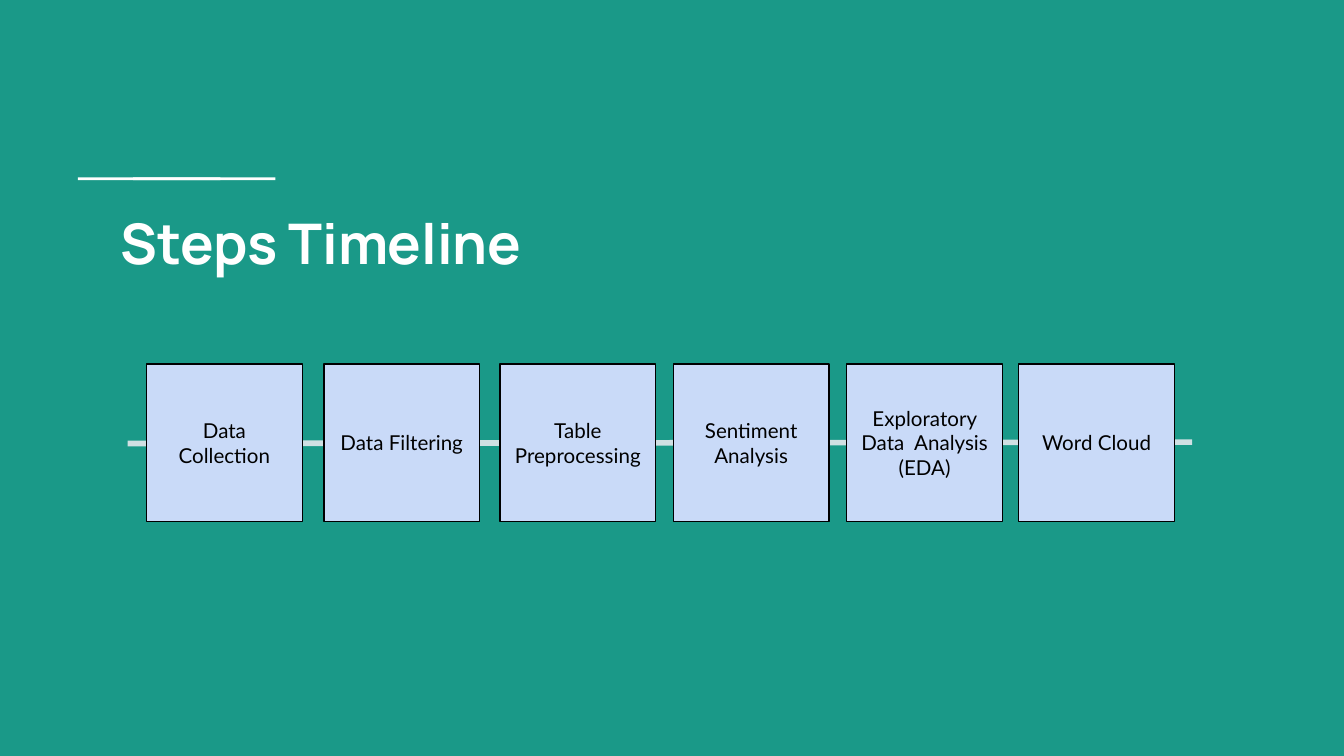
from lxml import etree
from pptx import Presentation
from pptx import util as u
from pptx.dml.color import RGBColor
from pptx.enum import shapes, text
from pptx.oxml import ns

TEAL = RGBColor(0x1A, 0x99, 0x88)
WHITE = RGBColor(0xFF, 0xFF, 0xFF)
BLACK = RGBColor(0, 0, 0)
PALE_BLUE = RGBColor(0xC9, 0xDA, 0xF8)
PALE_GREY = RGBColor(0xD0, 0xE0, 0xE3)

TITLE_FONT = {"name": "Manrope", "size": u.Pt(30), "bold": True}
STEP_FONT = {"name": "Lato", "size": u.Pt(11), "bold": False}
STEPS = [
    (1.09, "Data Collection"),
    (2.41, "Data Filtering"),
    (3.72, "Table Preprocessing"),
    (5.01, "Sentiment Analysis"),
    (6.3, "Exploratory Data  Analysis (EDA)"),
    (7.58, "Word Cloud"),
]


def write_text(box, words, font, color, align, anchor):
    """Fill a shape with one formatted paragraph."""
    frame = box.text_frame
    layout = {"word_wrap": True, "auto_size": text.MSO_AUTO_SIZE.NONE, "vertical_anchor": anchor}
    for side in ("left", "right", "top", "bottom"):
        layout[f"margin_{side}"] = u.Inches(0.1)
    for name, value in layout.items():
        setattr(frame, name, value)
    paragraph = frame.paragraphs[0]
    paragraph.alignment = align
    span = paragraph.add_run()
    span.text = words
    for name, value in font.items():
        setattr(span.font, name, value)
    span.font.color.rgb = color


def add_rectangle(page, left, top, width, height, fill):
    """Add a flat rectangle without an outline."""
    box = page.shapes.add_shape(
        shapes.MSO_SHAPE.RECTANGLE, *map(u.Inches, (left, top, width, height))
    )
    box.shadow.inherit = False
    box.fill.solid()
    box.fill.fore_color.rgb = fill
    box.line.fill.background()
    return box


def add_title(page, words):
    """Place and format the title placeholder."""
    title = page.shapes.title
    place = {"left": 0.8, "top": 1.45, "width": 8.41, "height": 0.77}
    for name, value in place.items():
        setattr(title, name, u.Inches(value))
    write_text(title, words, TITLE_FONT, WHITE, text.PP_ALIGN.LEFT, text.MSO_ANCHOR.TOP)


def add_timeline(page):
    """Draw the line that runs behind the steps."""
    line = page.shapes.add_connector(
        shapes.MSO_CONNECTOR.STRAIGHT, *map(u.Inches, (0.95, 3.3, 8.87, 3.29))
    )
    line.line.color.rgb = PALE_GREY
    line.line.width = u.Pt(3)
    etree.SubElement(line._element.spPr, ns.qn("a:effectLst"))


def add_step(page, left, words):
    """Add one outlined step box."""
    box = add_rectangle(page, left, 2.71, 1.16, 1.17, PALE_BLUE)
    box.line.color.rgb = BLACK
    box.line.width = u.Pt(0.75)
    write_text(box, words, STEP_FONT, BLACK, text.PP_ALIGN.CENTER, text.MSO_ANCHOR.MIDDLE)


def main():
    """Build and save the steps timeline slide."""
    deck = Presentation()
    deck.slide_width = u.Inches(10)
    deck.slide_height = deck.slide_width * 9 // 16
    page = deck.slides.add_slide(deck.slide_layouts[5])
    page.background.fill.solid()
    page.background.fill.fore_color.rgb = TEAL
    for left in (0.99, 0.58):
        add_rectangle(page, left, 1.32, 1.06, 0.02, WHITE)
    add_title(page, "Steps Timeline")
    add_timeline(page)
    for left, words in STEPS:
        add_step(page, left, words)
    deck.save("out.pptx")


if __name__ == "__main__":
    main()
